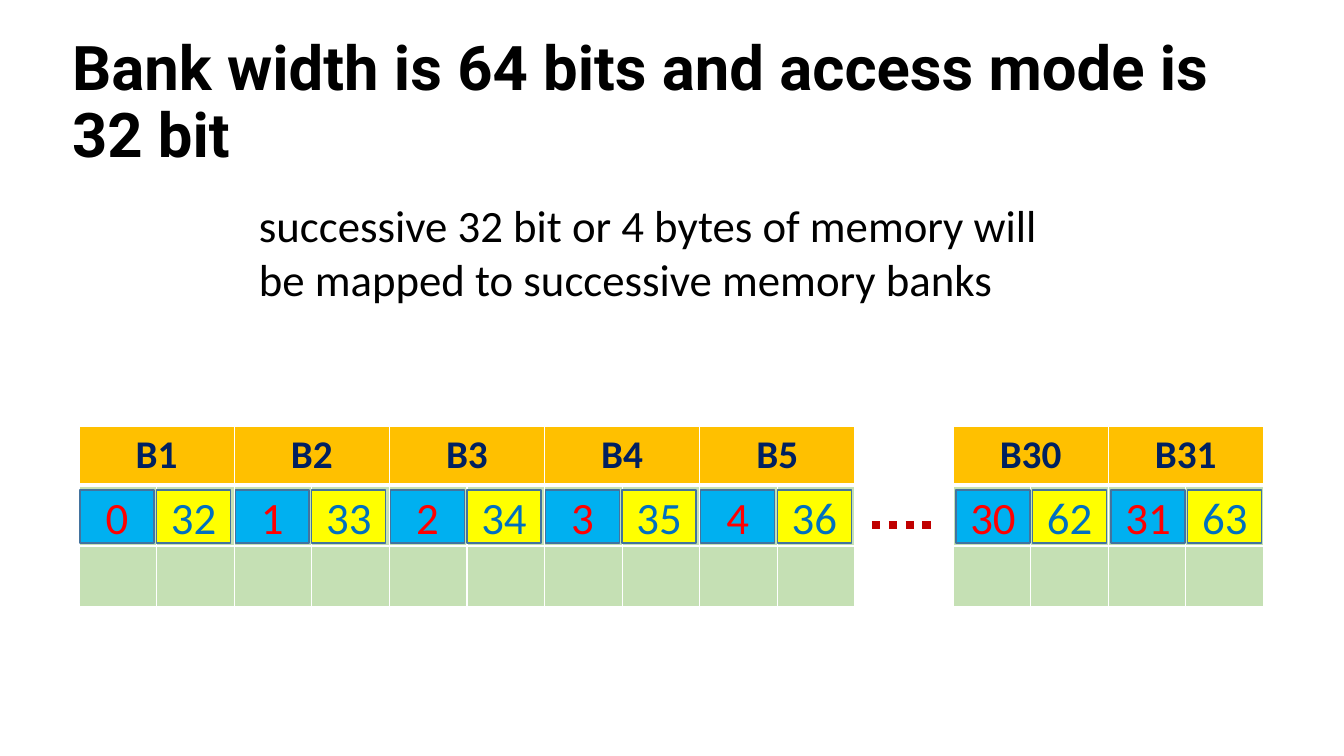
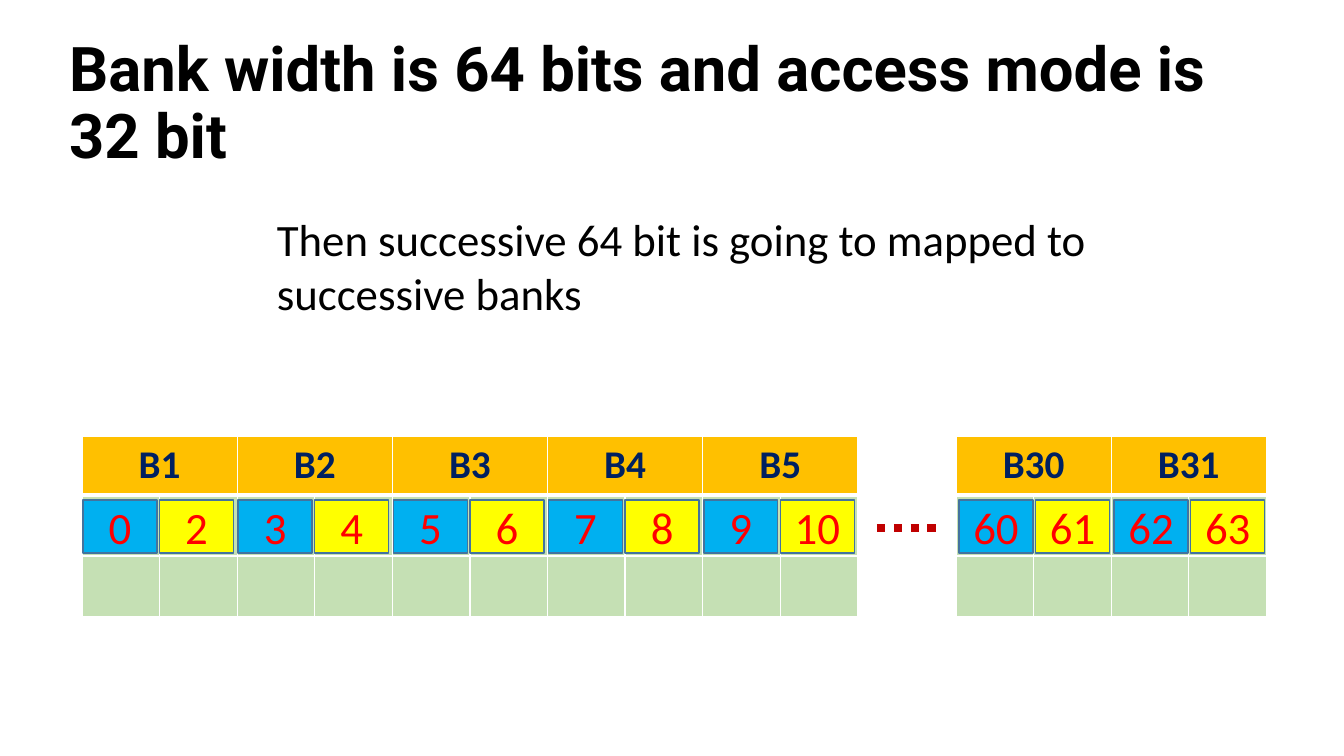
"""Builds two slides on how memory words map to 64-bit banks."""
from dataclasses import dataclass

from lxml import etree
from pptx import Presentation
from pptx.dml.color import RGBColor
from pptx.enum import dml, shapes, text
from pptx.oxml import ns
from pptx.util import Pt

PX = 914400 / 100.8
CENTER, LEFT = text.PP_ALIGN.CENTER, text.PP_ALIGN.LEFT


@dataclass(frozen=True)
class Theme:
    ink: str = "000000"
    header: str = "FFC000"
    header_ink: str = "002060"
    empty: str = "C5E0B4"
    border: str = "FFFFFF"
    low: str = "00B0F0"
    high: str = "FFFF00"
    outline: str = "43739E"
    first_ink: str = "FF0000"
    later_ink: str = "0070C0"
    dots: str = "C00000"
    title_font: str = "Roboto"
    body_font: str = "Calibri"
    title_size: int = 44
    header_size: int = 28
    body_size: int = 32


theme = Theme()
TITLE = {"name": theme.title_font, "size": Pt(theme.title_size), "bold": True}
HEADER = {"name": theme.body_font, "size": Pt(theme.header_size), "bold": True}
BODY = {"name": theme.body_font, "size": Pt(theme.body_size), "bold": False}


def emu(*pixels):
    return [round(pixel * PX) for pixel in pixels]


def write(frame, words, font_values, color, align):
    frame.word_wrap = True
    frame.vertical_anchor = text.MSO_ANCHOR.MIDDLE
    paragraph = frame.paragraphs[0]
    paragraph.alignment = align
    run = paragraph.add_run()
    run.text = words
    for attribute, value in font_values.items():
        setattr(run.font, attribute, value)
    run.font.color.rgb = RGBColor.from_string(color)


HEADING = "Bank width is 64 bits and access mode is 32 bit"
ROW_HEIGHTS = (59, 61, 61)
BANK_WIDTH = 155.2
WORD_TOP, WORD_STEP, WORD_WIDTH, WORD_HEIGHT = 64, 76.6, 74, 53

lessons = [
    {
        "title": (62, 31),
        "note": "successive 32 bit or 4 bytes of memory will be mapped to successive memory banks",
        "note_box": (249, 193, 837, 119),
        "top": 426,
        "dots": (872, 525),
        "high_ink": theme.later_ink,
        "groups": [
            (79, 1, 1, [(word, word + 32) for word in range(5)]),
            (953, 3, 30, [(word, word + 32) for word in (30, 31)]),
        ],
    },
    {
        "title": (59, 32),
        "note": "Then successive 64 bit is going to mapped to successive banks",
        "note_box": (267, 207, 921, 119),
        "top": 436,
        "dots": (877, 528),
        "high_ink": theme.first_ink,
        "groups": [
            (82, 1, 1, [(0, 2), (3, 4), (5, 6), (7, 8), (9, 10)]),
            (956, 3, 30, [(60, 61), (62, 63)]),
        ],
    },
]

deck = Presentation()
deck.slide_width, deck.slide_height = emu(1344, 756)

for lesson in lessons:
    slide = deck.slides.add_slide(deck.slide_layouts[5])
    heading = slide.shapes.title
    heading.left, heading.top, heading.width, heading.height = emu(*lesson["title"], 1230, 146)
    write(heading.text_frame, HEADING, TITLE, theme.ink, LEFT)
    heading.text_frame.auto_size = text.MSO_AUTO_SIZE.NONE
    heading.text_frame.paragraphs[0].line_spacing = 0.9

    for left, inset, first_bank, banks in lesson["groups"]:
        columns = 2 * len(banks)
        frame = slide.shapes.add_table(
            3, columns, *emu(left, lesson["top"], BANK_WIDTH * len(banks), sum(ROW_HEIGHTS)))
        memory = frame.table
        for column in memory.columns:
            column.width = emu(BANK_WIDTH / 2)[0]
        for row_index, height in enumerate(ROW_HEIGHTS):
            memory.rows[row_index].height = emu(height)[0]
            for cell in memory.rows[row_index].cells:
                properties = cell._tc.get_or_add_tcPr()
                for side in ("lnL", "lnR", "lnT", "lnB"):
                    thick = (row_index, side) in ((0, "lnB"), (1, "lnT"))
                    edge = etree.SubElement(properties, ns.qn(f"a:{side}"), w=str(Pt(3 if thick else 1)))
                    paint = etree.SubElement(edge, ns.qn("a:solidFill"))
                    etree.SubElement(paint, ns.qn("a:srgbClr"), val=theme.border)
                cell.fill.solid()
                cell.fill.fore_color.rgb = RGBColor.from_string(
                    theme.empty if row_index else theme.header)
        for position in range(len(banks)):
            label = memory.cell(0, 2 * position)
            label.merge(memory.cell(0, 2 * position + 1))
            write(label.text_frame, f"B{first_bank + position}", HEADER, theme.header_ink, CENTER)
            label.vertical_anchor = text.MSO_ANCHOR.MIDDLE

        for position, words in enumerate(banks):
            halves = zip(words, (theme.low, theme.high), (theme.first_ink, lesson["high_ink"]))
            for half, (word, fill, ink) in enumerate(halves):
                slot = slide.shapes.add_shape(shapes.MSO_SHAPE.RECTANGLE, *emu(
                    left + inset + BANK_WIDTH * position + WORD_STEP * half,
                    lesson["top"] + WORD_TOP, WORD_WIDTH, WORD_HEIGHT))
                slot.shadow.inherit = False
                slot.fill.solid()
                slot.fill.fore_color.rgb = RGBColor.from_string(fill)
                slot.line.color.rgb = RGBColor.from_string(theme.outline)
                slot.line.width = Pt(1)
                write(slot.text_frame, str(word), BODY, ink, CENTER)

    dots_left, dots_top = lesson["dots"]
    dots = slide.shapes.add_connector(
        shapes.MSO_CONNECTOR.STRAIGHT, *emu(dots_left, dots_top, dots_left + 59, dots_top))
    dots.line.color.rgb = RGBColor.from_string(theme.dots)
    dots.line.width = Pt(6)
    dots.line.dash_style = dml.MSO_LINE.ROUND_DOT
    etree.SubElement(dots._element.spPr, ns.qn("a:effectLst"))

    note = slide.shapes.add_textbox(*emu(*lesson["note_box"]))
    write(note.text_frame, lesson["note"], BODY, theme.ink, LEFT)
    note.text_frame.vertical_anchor = text.MSO_ANCHOR.TOP

deck.save("out.pptx")
